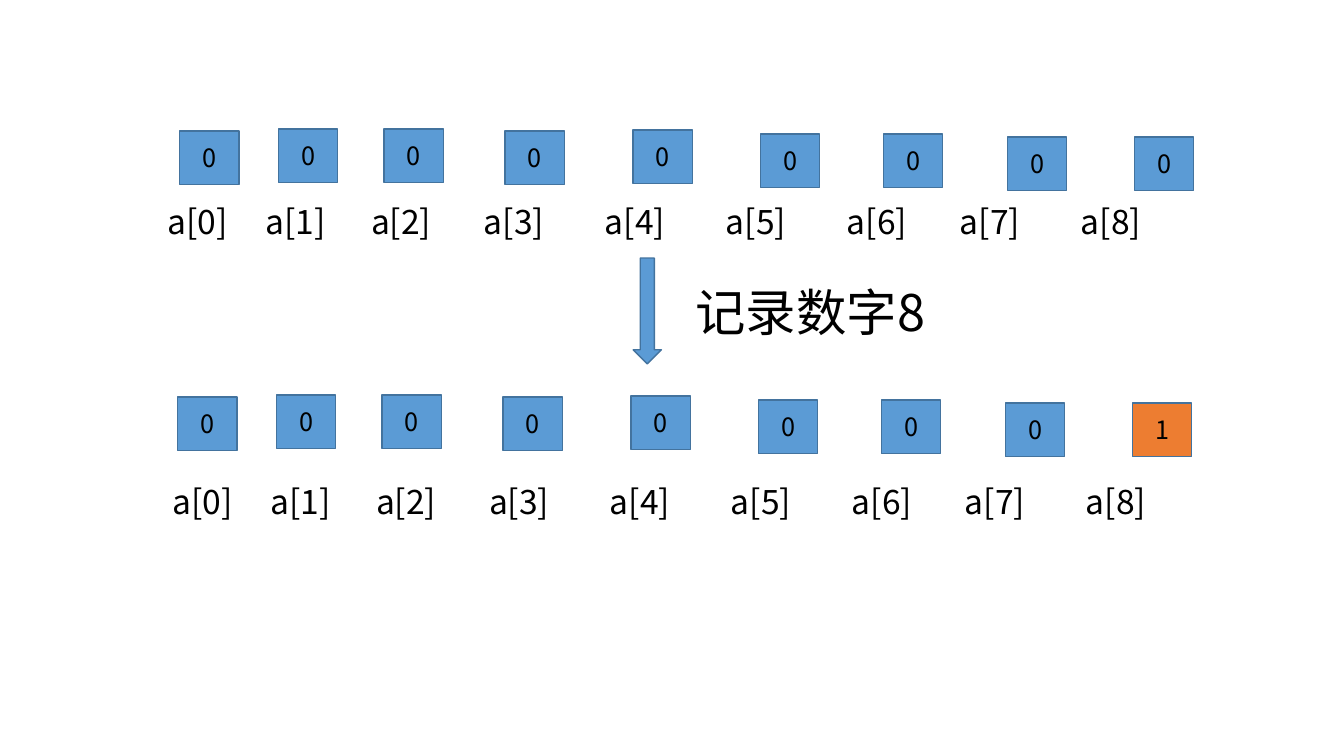
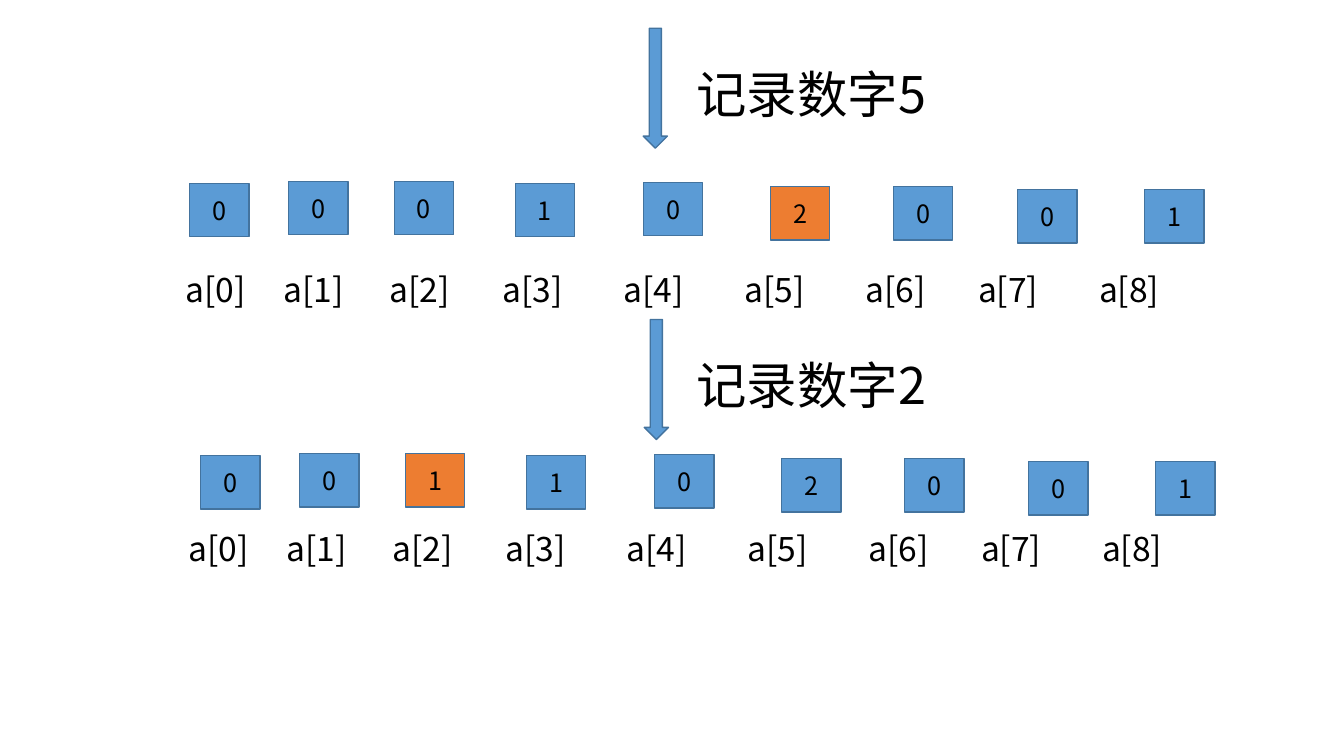
import itertools
import pptx
import pptx.util
import pptx.dml.color
import pptx.enum.shapes
import pptx.enum.text
import pptx.oxml.ns
import lxml.etree

Inches = pptx.util.Inches
MSO = pptx.enum.shapes.MSO_SHAPE
ANCHOR = pptx.enum.text.MSO_ANCHOR
ALIGN = pptx.enum.text.PP_ALIGN
qn = pptx.oxml.ns.qn

FONT = "Noto Sans CJK SC"
BLUE, ORANGE, EDGE, BLACK = "5B9BD5", "ED7D31", "43739E", "000000"
CELL_W, CELL_H = 0.59, 0.53
CELL_X = [0, 0.98, 2.03, 3.23, 4.5, 5.76, 6.98, 8.21, 9.47]
CELL_Y = [0, -0.02, -0.02, 0, -0.01, 0.03, 0.03, 0.06, 0.06]
LABEL_STEPS = [0.97, 1.05, 1.12, 1.2, 1.2, 1.2, 1.12, 1.2]
LABELS = "\t".join(f"a[{i}]" for i in range(len(CELL_X)))

SLIDES = [
    {
        "rows": [
            {"cells": (1.78, 1.3), "labels": (1.41, 1.94), "values": "000000000", "hot": None},
            {"cells": (1.76, 3.94), "labels": (1.46, 4.72), "values": "000000001", "hot": 8},
        ],
        "steps": [{"arrow": (6.28, 2.56, 0.28, 1.05), "note": (6.8, 2.74), "digit": 8}],
    },
    {
        "rows": [
            {"cells": (1.88, 1.82), "labels": (1.59, 2.62), "values": "000102001", "hot": 5},
            {"cells": (1.99, 4.52), "labels": (1.62, 5.19), "values": "001102001", "hot": 2},
        ],
        "steps": [
            {"arrow": (6.38, 0.28, 0.24, 1.19), "note": (6.81, 0.58), "digit": 5},
            {"arrow": (6.39, 3.17, 0.24, 1.19), "note": (6.81, 3.46), "digit": 2},
        ],
    },
]


def rgb(color):
    return pptx.dml.color.RGBColor.from_string(color)


def add_item(s, box, text="", size=18, preset=None, fill=BLUE, **frame):
    box = [Inches(v) for v in box]
    if preset is None:
        sp = s.shapes.add_textbox(*box)
    else:
        sp = s.shapes.add_shape(preset, *box)
        sp.shadow.inherit = False
        sp.fill.solid()
        sp.fill.fore_color.rgb = rgb(fill)
        sp.line.color.rgb = rgb(EDGE)
        sp.line.width = pptx.util.Pt(1)
    tf = sp.text_frame
    for name, value in {"word_wrap": True, **frame}.items():
        setattr(tf, name, value)
    if text:
        p = tf.paragraphs[0]
        p.alignment = ALIGN.LEFT if preset is None else ALIGN.CENTER
        r = p.add_run()
        r.text = text
        for name, value in {"size": pptx.util.Pt(size), "name": FONT}.items():
            setattr(r.font, name, value)
        r.font.color.rgb = rgb(BLACK)
        lxml.etree.SubElement(r.font._element, qn("a:ea"), typeface=FONT)
    return sp


prs = pptx.Presentation()
prs.slide_width, prs.slide_height = Inches(13.33), Inches(7.5)

for content in SLIDES:
    s = prs.slides.add_slide(prs.slide_layouts[6])
    for row in content["rows"]:
        left, top = row["cells"]
        for i, (dx, dy, value) in enumerate(zip(CELL_X, CELL_Y, row["values"])):
            add_item(s, (left + dx, top + dy, CELL_W, CELL_H), value,
                     preset=MSO.RECTANGLE, fill=ORANGE if i == row["hot"] else BLUE,
                     vertical_anchor=ANCHOR.MIDDLE)
        sp = add_item(s, (*row["labels"], 10.92, 0.5), LABELS, 24, margin_left=Inches(0.25))
        pPr = sp.text_frame.paragraphs[0]._p.get_or_add_pPr()
        tabs = lxml.etree.SubElement(pPr, qn("a:tabLst"))
        for stop in itertools.accumulate(LABEL_STEPS):
            lxml.etree.SubElement(tabs, qn("a:tab"), pos=str(int(Inches(stop))), algn="l")
    for step in content["steps"]:
        add_item(s, step["arrow"], preset=MSO.DOWN_ARROW)
        add_item(s, (*step["note"], 2.63, 0.71), f"记录数字{step['digit']}", 36)

prs.save("out.pptx")
